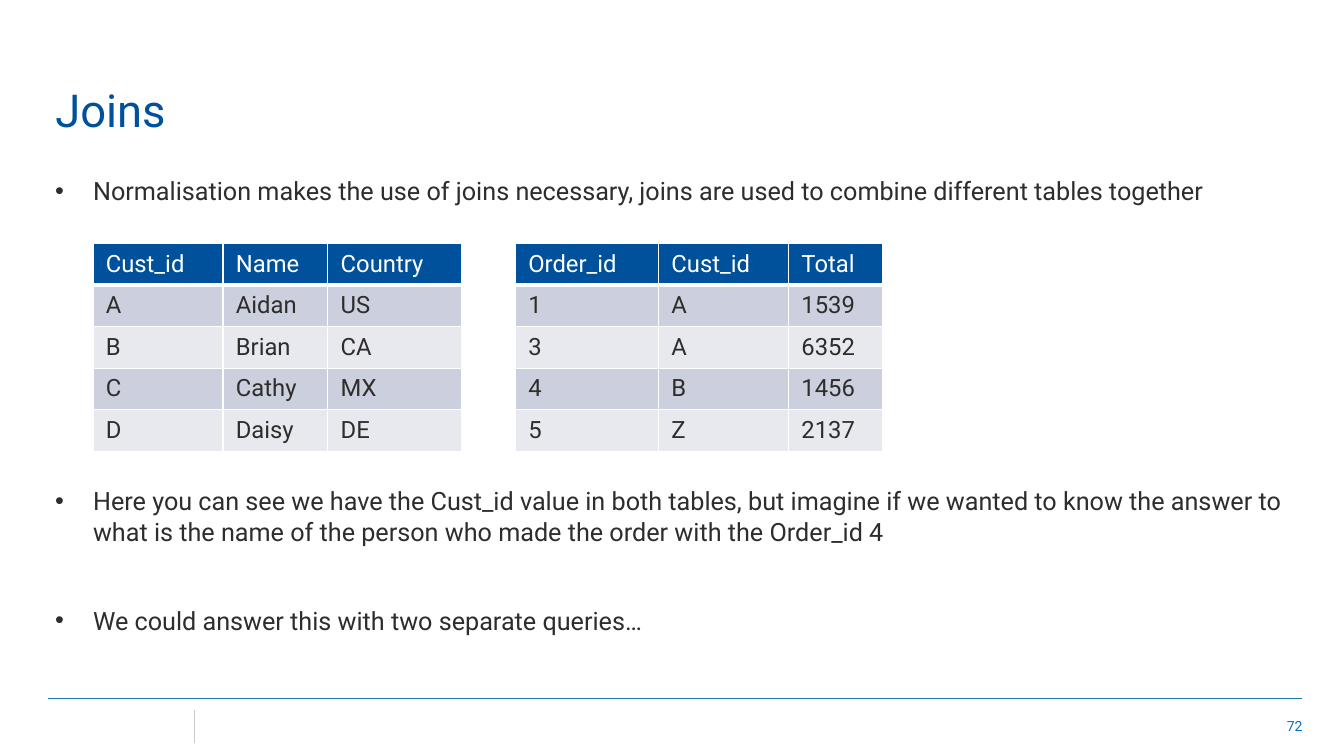
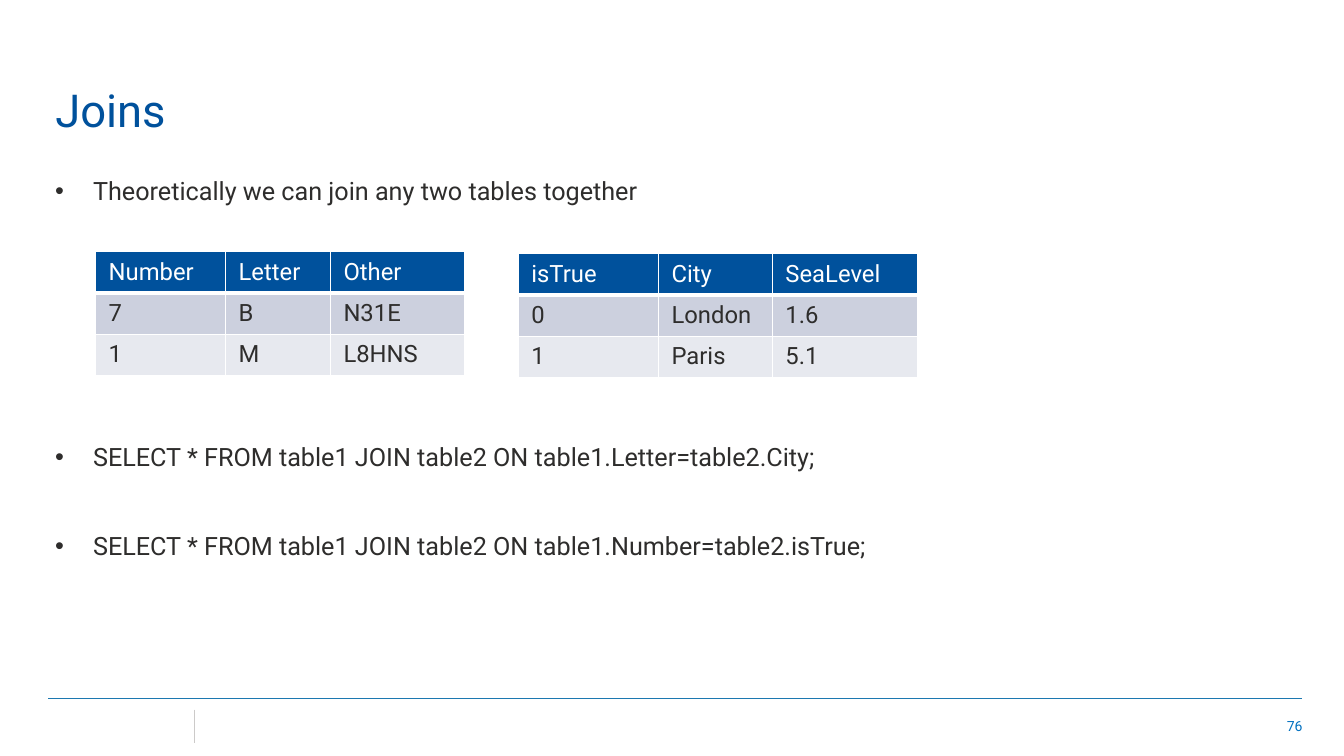
from lxml.etree import SubElement
from pptx import Presentation
from pptx.dml.color import RGBColor
from pptx.enum.shapes import MSO_CONNECTOR
from pptx.enum.text import MSO_ANCHOR, PP_ALIGN
from pptx.oxml.ns import qn
from pptx.util import Pt

FONT = "Roboto"
BLUE = RGBColor(0x00, 0x51, 0x9C)
NUMBER_BLUE = RGBColor(0x00, 0x70, 0xC0)
RULE_BLUE = RGBColor(0x1C, 0x78, 0xB0)
RULE_GREY = RGBColor(0xCC, 0xCA, 0xC9)
INK = RGBColor(0x2E, 0x2D, 0x2C)
WHITE = RGBColor(0xFF, 0xFF, 0xFF)
BAND_DARK = RGBColor(0xCC, 0xD0, 0xDE)
BAND_LIGHT = RGBColor(0xE7, 0xE9, 0xEF)

LINE_HEIGHT = 21.1
LINE_PITCH = 31.6
BULLET_INDENT = 27
ROW_HEIGHT = 29.1
FOOTER_RULES = [
    (34.6, 499, 930.2, 499, RULE_BLUE),
    (139, 506.9, 139, 530.6, RULE_GREY),
]

# Each bullet: lines left free above it, text. Each table: left, top, column widths, rows.
SLIDES = [
    {
        "number": "72",
        "bullets": [
            (0, "Normalisation makes the use of joins necessary, joins are used to "
                "combine different tables together"),
            (6, "Here you can see we have the Cust_id value in both tables, but imagine "
                "if we wanted to know the answer to what is the name of the person who "
                "made the order with the Order_id 4"),
            (1, "We could answer this with two separate queries…"),
        ],
        "tables": [
            (66.4, 174.2, [92.9, 74.9, 95.8], [
                ["Cust_id", "Name", "Country"],
                ["A", "Aidan", "US"],
                ["B", "Brian", "CA"],
                ["C", "Cathy", "MX"],
                ["D", "Daisy", "DE"],
            ]),
            (368.2, 174.2, [102.2, 92.9, 67], [
                ["Order_id", "Cust_id", "Total"],
                ["1", "A", "1539"],
                ["3", "A", "6352"],
                ["4", "B", "1456"],
                ["5", "Z", "2137"],
            ]),
        ],
    },
    {
        "number": "76",
        "bullets": [
            (0, "Theoretically we can join any two tables together"),
            (5, "SELECT * FROM table1 JOIN table2 ON table1.Letter=table2.City;"),
            (1, "SELECT * FROM table1 JOIN table2 ON table1.Number=table2.isTrue;"),
        ],
        "tables": [
            (68.4, 179.6, [92.9, 74.9, 95.8], [
                ["Number", "Letter", "Other"],
                ["7", "B", "N31E"],
                ["1", "M", "L8HNS"],
            ]),
            (370.4, 181, [100.1, 81.4, 103.7], [
                ["isTrue", "City", "SeaLevel"],
                ["0", "London", "1.6"],
                ["1", "Paris", "5.1"],
            ]),
        ],
    },
]


def add_span(para, text, size, color):
    span = para.add_run()
    span.text = text
    span.font.name = FONT
    span.font.size = Pt(size)
    span.font.bold = False
    span.font.color.rgb = color


def add_frame(page, left, top, width, height, anchor):
    """Add a wrapping text box and return its text frame."""
    box = page.shapes.add_textbox(Pt(left), Pt(top), Pt(width), Pt(height))
    frame = box.text_frame
    frame.word_wrap = True
    frame.vertical_anchor = anchor
    return frame


deck = Presentation()
deck.slide_width = Pt(960)
deck.slide_height = Pt(540)
blank = deck.slide_layouts[6]

for content in SLIDES:
    page = deck.slides.add_slide(blank)

    # Footer
    frame = add_frame(page, 713.5, 504, 223.9, 28.8, MSO_ANCHOR.MIDDLE)
    frame.paragraphs[0].alignment = PP_ALIGN.RIGHT
    add_span(frame.paragraphs[0], content["number"], 10, NUMBER_BLUE)
    for x1, y1, x2, y2, color in FOOTER_RULES:
        rule = page.shapes.add_connector(
            MSO_CONNECTOR.STRAIGHT, Pt(x1), Pt(y1), Pt(x2), Pt(y2))
        rule.line.color.rgb = color
        rule.line.width = Pt(0.25)
        SubElement(rule.element.spPr, qn("a:effectLst"))

    # Title
    frame = add_frame(page, 32.4, 51.1, 718.6, 49.7, MSO_ANCHOR.BOTTOM)
    add_span(frame.paragraphs[0], "Joins", 32.4, BLUE)

    # Bullets
    frame = add_frame(page, 32.4, 121.7, 897.8, 357.8, MSO_ANCHOR.TOP)
    for index, (free_lines, text) in enumerate(content["bullets"]):
        para = frame.add_paragraph() if index else frame.paragraphs[0]
        gap = LINE_PITCH * (free_lines + 1) - LINE_HEIGHT
        para.space_before = Pt(round(gap, 1) if index else 2)
        properties = para._p.get_or_add_pPr()
        properties.set("marL", str(Pt(BULLET_INDENT)))
        properties.set("indent", str(-Pt(BULLET_INDENT)))
        SubElement(properties, qn("a:buFont"), typeface="Arial")
        SubElement(properties, qn("a:buChar"), char="•")
        add_span(para, text, 18, INK)

    # Tables
    for left, top, widths, rows in content["tables"]:
        table = page.shapes.add_table(
            len(rows), len(widths), Pt(left), Pt(top),
            Pt(sum(widths)), Pt(ROW_HEIGHT * len(rows))).table
        for column, width in zip(table.columns, widths):
            column.width = Pt(width)
        for row_index, row in enumerate(rows):
            table.rows[row_index].height = Pt(ROW_HEIGHT)
            if row_index == 0:
                fill_color, text_color = BLUE, WHITE
            else:
                fill_color = BAND_DARK if row_index % 2 else BAND_LIGHT
                text_color = INK
            borders = {
                "a:lnL": 1,
                "a:lnR": 1,
                "a:lnT": 3 if row_index == 1 else 1,
                "a:lnB": 3 if row_index == 0 else 1,
            }
            for column_index, text in enumerate(row):
                cell = table.cell(row_index, column_index)
                cell.margin_left = cell.margin_right = Pt(9.2)
                cell.margin_top = cell.margin_bottom = Pt(4.6)
                properties = cell._tc.get_or_add_tcPr()
                for tag, width in borders.items():
                    border = SubElement(properties, qn(tag), w=str(Pt(width)))
                    paint = SubElement(border, qn("a:solidFill"))
                    SubElement(paint, qn("a:srgbClr"), val=str(WHITE))
                cell.fill.solid()
                cell.fill.fore_color.rgb = fill_color
                add_span(cell.text_frame.paragraphs[0], text, 17, text_color)

deck.save("out.pptx")
